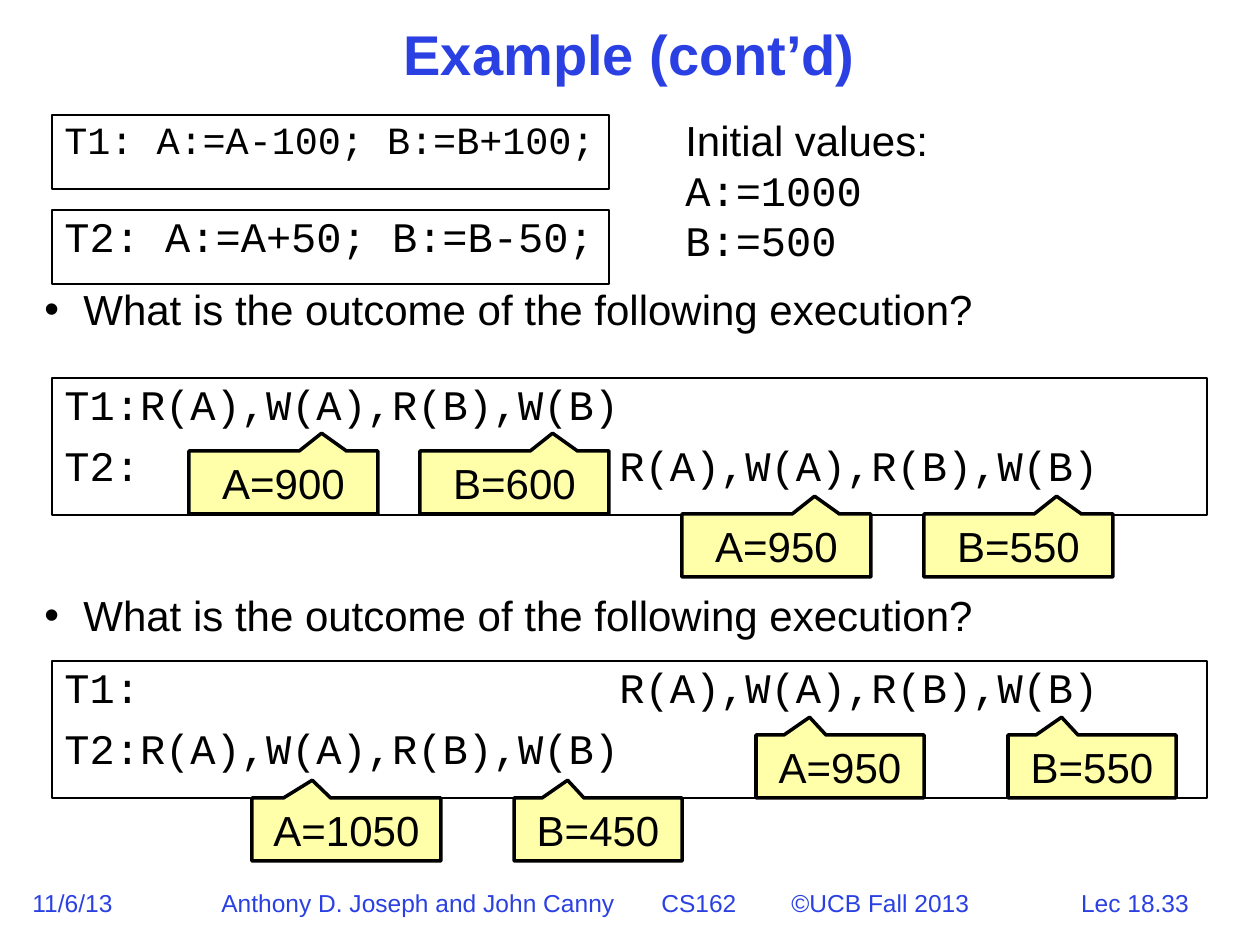
import pptx
import pptx.dml.color
import pptx.enum.shapes
import pptx.enum.text
import pptx.oxml
import pptx.oxml.ns
import pptx.util

EMU_PER_PX = 914400 / 126
COLOURS = {"blue": "2A40E2", "black": "000000", "note": "FFFFAA"}
SHAPES = pptx.enum.shapes.MSO_SHAPE
ALIGN = pptx.enum.text.PP_ALIGN
ANCHOR = pptx.enum.text.MSO_ANCHOR

# Formats: font attributes and paragraph attributes
BODY = {"size": 24, "name": "Arial", "color": "black"}
CODE = {**BODY, "name": "Courier New"}
FOOTER = {**BODY, "size": 14, "color": "blue"}
TITLE = {**BODY, "size": 32, "color": "blue", "bold": True}
CENTRED = {"alignment": ALIGN.CENTER}
SPACED = {"line_spacing": 0.9, "space_before": pptx.util.Pt(9)}

QUESTION = "What is the outcome of the following execution?"
OPERATIONS = "R(A),W(A),R(B),W(B)"
LATER_START = 555  # tab position of the transaction that runs second


def px(value):
    return pptx.util.Emu(round(value * EMU_PER_PX))


def colour(name):
    return pptx.dml.color.RGBColor.from_string(COLOURS[name])


def write(para, text, font, layout):
    span = para.add_run()
    span.text = text
    for key, value in layout.items():
        setattr(para, key, value)
    for key, value in font.items():
        if key == "color":
            span.font.color.rgb = colour(value)
        else:
            setattr(span.font, key, pptx.util.Pt(value) if key == "size" else value)


def fill_frame(frame, lines, layout, wrap=True, anchor=ANCHOR.TOP):
    """Write (text, font) lines into a text frame."""
    frame.word_wrap = wrap
    frame.vertical_anchor = anchor
    for index, (text, font) in enumerate(lines):
        para = frame.add_paragraph() if index else frame.paragraphs[0]
        write(para, text, font, layout)


def add_text(page, place, lines, layout, **options):
    box = page.shapes.add_textbox(*map(px, place))
    fill_frame(box.text_frame, lines, layout, **options)
    return box


def add_shape(page, kind, place, line_width):
    shape = page.shapes.add_shape(kind, *map(px, place))
    shape.shadow.inherit = False
    shape.line.color.rgb = colour("black")
    shape.line.width = pptx.util.Pt(line_width)
    return shape


def add_xml(para, tag, **attributes):
    """Append one drawing element to the paragraph's properties."""
    props = para._p.get_or_add_pPr()
    element = props.makeelement(pptx.oxml.ns.qn(tag), attributes)
    props.append(element)
    return element


def set_tabs(para, stops):
    tabs = add_xml(para, "a:tabLst")
    for stop in stops:
        tab = tabs.makeelement(pptx.oxml.ns.qn("a:tab"), {"pos": str(px(stop)), "algn": "l"})
        tabs.append(tab)


def add_code(page, place, texts, size=24):
    box = add_shape(page, SHAPES.RECTANGLE, place, 1)
    box.fill.background()
    font = {**CODE, "size": size}
    layout = {**SPACED, "alignment": ALIGN.LEFT}
    fill_frame(box.text_frame, [(text, font) for text in texts], layout)
    for para in box.text_frame.paragraphs:
        set_tabs(para, [LATER_START])


def add_bullet(page, top, text):
    box = add_text(page, (32, top, 1092, 63), [(text, BODY)], SPACED)
    para = box.text_frame.paragraphs[0]
    props = para._p.get_or_add_pPr()
    props.set("marL", str(px(39)))
    props.set("indent", str(px(-39)))
    add_xml(para, "a:buFont", typeface="Arial")
    add_xml(para, "a:buChar", char="•")


def add_callout(page, text, left, top, width, tip):
    callout = add_shape(page, SHAPES.RECTANGULAR_CALLOUT, (left, top, width, 63), 2)
    callout.adjustments[0] = tip
    callout.adjustments[1] = -0.782
    callout.fill.solid()
    callout.fill.fore_color.rgb = colour("note")
    fill_frame(callout.text_frame, [(text, BODY)], CENTRED, anchor=ANCHOR.MIDDLE)


def add_footer(page):
    add_text(page, (20, 882, 107, 42), [("11/6/13", FOOTER)], {}, wrap=False)
    course = "Anthony D. Joseph and John Canny\tCS162\t©UCB Fall 2013"
    box = add_text(page, (209, 882, 774, 42), [(course, FOOTER)], {}, wrap=False)
    set_tabs(box.text_frame.paragraphs[0], [440, 570])
    add_text(page, (1026, 882, 218, 42), [("Lec 18.33", FOOTER)], CENTRED, wrap=False)


def main():
    deck = pptx.Presentation()
    deck.slide_width, deck.slide_height = px(1260), px(945)
    page = deck.slides.add_slide(deck.slide_layouts[6])

    add_footer(page)
    add_text(page, (136, 21, 987, 73), [("Example (cont’d)", TITLE)],
             {**CENTRED, "line_spacing": 0.9}, anchor=ANCHOR.MIDDLE)

    # Transactions and starting values
    add_code(page, (52, 115, 557, 74), ["T1: A:=A-100; B:=B+100;"], size=22)
    add_code(page, (52, 210, 557, 74), ["T2: A:=A+50; B:=B-50;"])
    initial = [("Initial values:", BODY), ("A:=1000", CODE), ("B:=500", CODE)]
    add_text(page, (673, 108, 300, 164), initial, {})

    # Two questions, each with its schedule
    schedules = [
        (283, 378, [f"T1:{OPERATIONS}", f"T2:\t{OPERATIONS}"]),
        (589, 661, [f"T1:\t{OPERATIONS}", f"T2:{OPERATIONS}"]),
    ]
    for question_top, code_top, texts in schedules:
        add_bullet(page, question_top, QUESTION)
        add_code(page, (52, code_top, 1155, 137), texts)

    # Values after each write: text, left, top, width, tip
    right, left = 0.202, -0.181
    callouts = [
        ("A=900", 189, 451, 189, right),
        ("B=600", 420, 451, 189, right),
        ("A=950", 682, 514, 189, right),
        ("B=550", 924, 514, 189, right),
        ("A=950", 756, 735, 168, left),
        ("B=550", 1008, 735, 168, left),
        ("A=1050", 252, 798, 189, left),
        ("B=450", 514, 798, 168, left),
    ]
    for callout in callouts:
        add_callout(page, *callout)

    deck.save("out.pptx")


if __name__ == "__main__":
    main()
